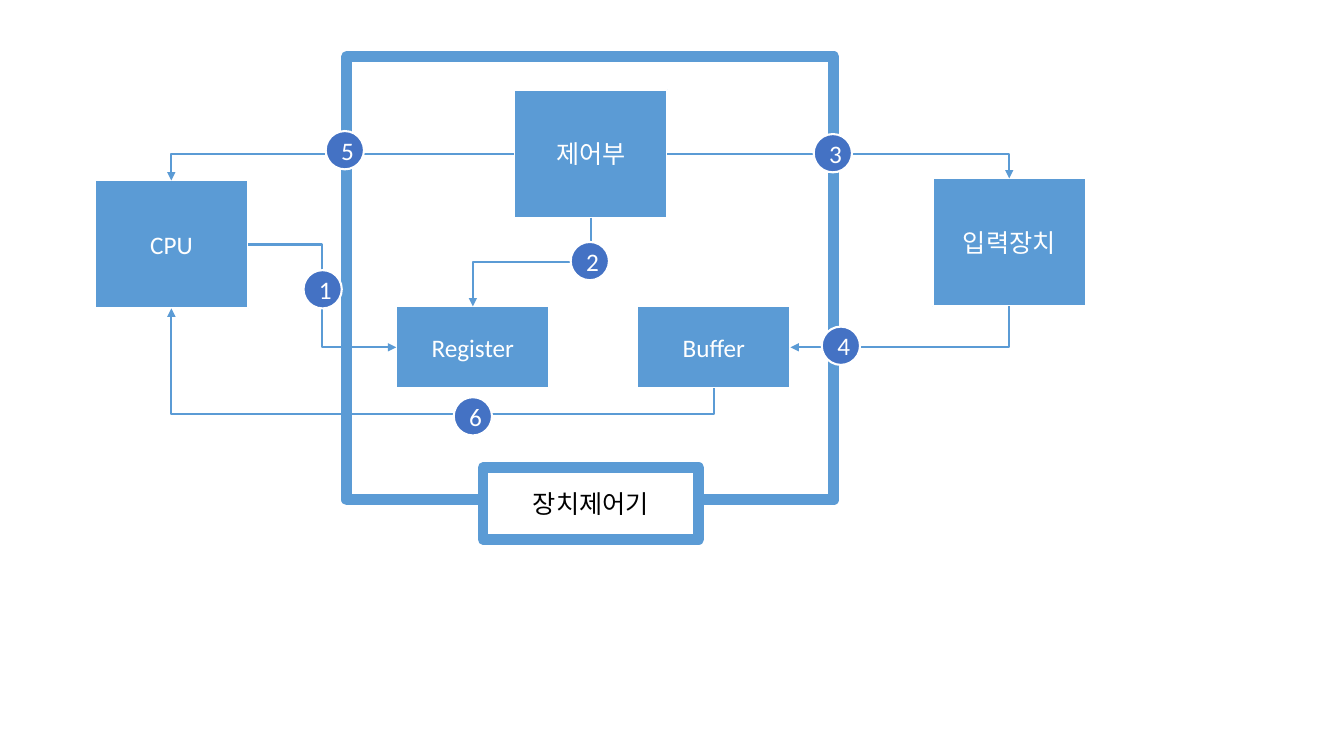
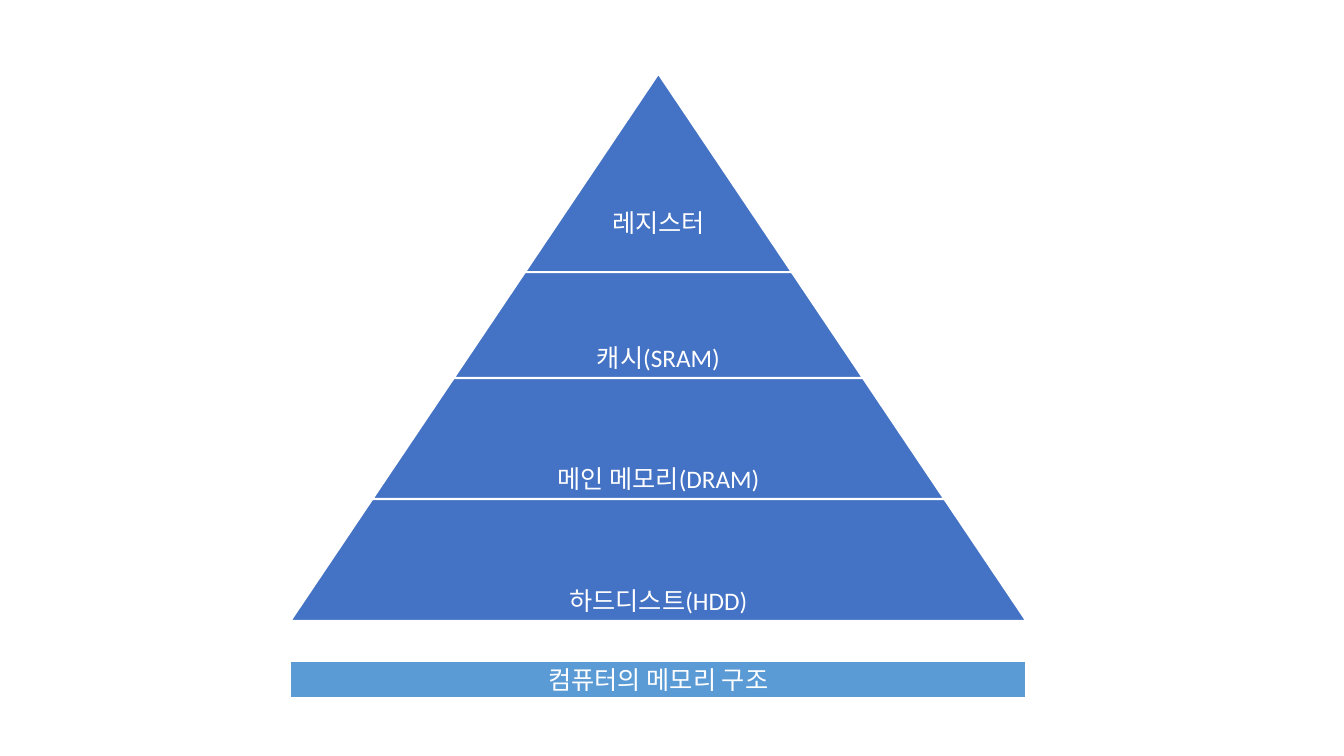
"""Build two slides: a device controller diagram and a memory pyramid."""
from lxml import etree
from pptx import Presentation
from pptx.dml.color import RGBColor
from pptx.enum.shapes import MSO_CONNECTOR, MSO_SHAPE
from pptx.enum.text import MSO_ANCHOR, PP_ALIGN
from pptx.oxml.ns import qn
from pptx.util import Inches, Pt

SKY = RGBColor(0x5B, 0x9B, 0xD5)
BLUE = RGBColor(0x44, 0x72, 0xC4)
WHITE = RGBColor(0xFF, 0xFF, 0xFF)
BLACK = RGBColor(0x00, 0x00, 0x00)
FONT = "Calibri"
TEXT_SIZE = Pt(18)
THIN = Pt(1.5)
THICK = Pt(7.75)
RECTANGLE = MSO_SHAPE.RECTANGLE
OVAL = MSO_SHAPE.OVAL
TRIANGLE = MSO_SHAPE.ISOSCELES_TRIANGLE
ELBOW = MSO_CONNECTOR.ELBOW
MIDDLE = MSO_ANCHOR.MIDDLE
BOTTOM_ANCHOR = MSO_ANCHOR.BOTTOM
CENTER = PP_ALIGN.CENTER
TOP, LEFT, BOTTOM, RIGHT = range(4)
QUARTER_TURN = "5400000"


class Painter:
    """Hold the deck style and draw on the current page."""

    def __init__(self, deck):
        self.deck = deck
        self.page = None

    def new_page(self):
        self.page = self.deck.slides.add_slide(self.deck.slide_layouts[6])

    def shape(self, kind, left, top, width, height, text="", fill=SKY,
              line=WHITE, weight=THIN, color=WHITE, anchor=MIDDLE):
        box = self.page.shapes.add_shape(
            kind, Inches(left), Inches(top), Inches(width), Inches(height))
        box.shadow.inherit = False
        box.fill.solid()
        box.fill.fore_color.rgb = fill
        box.line.color.rgb = line
        box.line.width = weight
        if text:
            frame = box.text_frame
            frame.text = text
            frame.word_wrap = True
            frame.vertical_anchor = anchor
            para = frame.paragraphs[0]
            para.alignment = CENTER
            font = para.runs[0].font
            font.name = FONT
            font.size = TEXT_SIZE
            font.color.rgb = color
        return box

    def outline(self, left, top, width, height, text=""):
        return self.shape(RECTANGLE, left, top, width, height, text,
                          fill=WHITE, line=SKY, weight=THICK, color=BLACK)

    def badge(self, number, left, top):
        return self.shape(OVAL, left, top, 0.38, 0.38, str(number), fill=BLUE)

    def arrow(self, source, source_side, target, target_side, bend=None):
        wire = self.page.shapes.add_connector(ELBOW, 0, 0, 0, 0)
        wire.begin_connect(source, source_side)
        wire.end_connect(target, target_side)
        wire.line.color.rgb = SKY
        wire.line.width = THIN
        properties = wire._element.spPr
        if source_side in (TOP, BOTTOM):
            self.turn(wire)
            properties.find(qn("a:xfrm")).set("rot", QUARTER_TURN)
        geometry = properties.find(qn("a:prstGeom"))
        if (source_side + target_side) % 2:
            geometry.set("prst", "bentConnector2")
        if bend is not None:
            guide = etree.SubElement(geometry.find(qn("a:avLst")), qn("a:gd"))
            guide.set("name", "adj1")
            guide.set("fmla", f"val {round(bend * 100000)}")
        line = properties.find(qn("a:ln"))
        etree.SubElement(line, qn("a:tailEnd")).set("type", "triangle")
        etree.SubElement(properties, qn("a:effectLst"))
        return wire

    def turn(self, wire):
        """Lay the wire flat so that a quarter turn restores its ends."""
        start_x, start_y = wire.begin_x, wire.begin_y
        end_x, end_y = wire.end_x, wire.end_y
        middle_x, middle_y = (start_x + end_x) // 2, (start_y + end_y) // 2
        along, across = (end_y - start_y) // 2, (start_x - end_x) // 2
        wire.begin_x, wire.begin_y = middle_x - along, middle_y - across
        wire.end_x, wire.end_y = middle_x + along, middle_y + across


def draw_controller(painter):
    """Draw the input path through the device controller."""
    painter.new_page()
    painter.outline(3.44, 0.56, 4.83, 4.4)
    cpu = painter.shape(RECTANGLE, 0.94, 1.79, 1.52, 1.27, "CPU")
    buffer = painter.shape(RECTANGLE, 6.32, 3.04, 1.52, 0.81, "Buffer")
    register = painter.shape(RECTANGLE, 3.93, 3.04, 1.52, 0.81, "Register")
    control = painter.shape(RECTANGLE, 5.1, 0.89, 1.52, 1.27, "제어부")
    device = painter.shape(RECTANGLE, 9.25, 1.77, 1.52, 1.27, "입력장치")
    painter.outline(4.79, 4.64, 2.14, 0.71, "장치제어기")

    painter.arrow(cpu, RIGHT, register, LEFT)
    painter.arrow(control, BOTTOM, register, TOP, bend=0.5)
    painter.arrow(control, RIGHT, device, TOP)
    painter.arrow(device, BOTTOM, buffer, RIGHT)
    painter.arrow(control, LEFT, cpu, TOP)
    painter.arrow(buffer, BOTTOM, cpu, BOTTOM, bend=-0.32)

    badge_places = [(3.01, 2.68), (5.66, 2.4), (8.07, 1.33),
                    (8.15, 3.24), (3.23, 1.3), (4.5, 3.94)]
    for number, (left, top) in enumerate(badge_places, start=1):
        painter.badge(number, left, top)


def draw_pyramid(painter):
    """Draw the memory levels as nested triangles sharing one tip."""
    painter.new_page()
    left, top, width, height = 2.88, 0.73, 7.3, 5.43
    levels = [("하드디스트(HDD)", height, BOTTOM_ANCHOR),
              ("메인 메모리(DRAM)", 4.22, BOTTOM_ANCHOR),
              ("캐시(SRAM)", 3.02, BOTTOM_ANCHOR),
              ("레지스터", 1.97, MIDDLE)]
    for name, depth, anchor in levels:
        span = width * depth / height
        painter.shape(TRIANGLE, left + (width - span) / 2, top, span, depth,
                      name, fill=BLUE, anchor=anchor)
    painter.shape(RECTANGLE, left, 6.56, width, 0.37, "컴퓨터의 메모리 구조")


def main():
    deck = Presentation()
    deck.slide_width = Inches(13.33)
    deck.slide_height = Inches(7.5)
    painter = Painter(deck)
    draw_controller(painter)
    draw_pyramid(painter)
    deck.save("out.pptx")


main()
